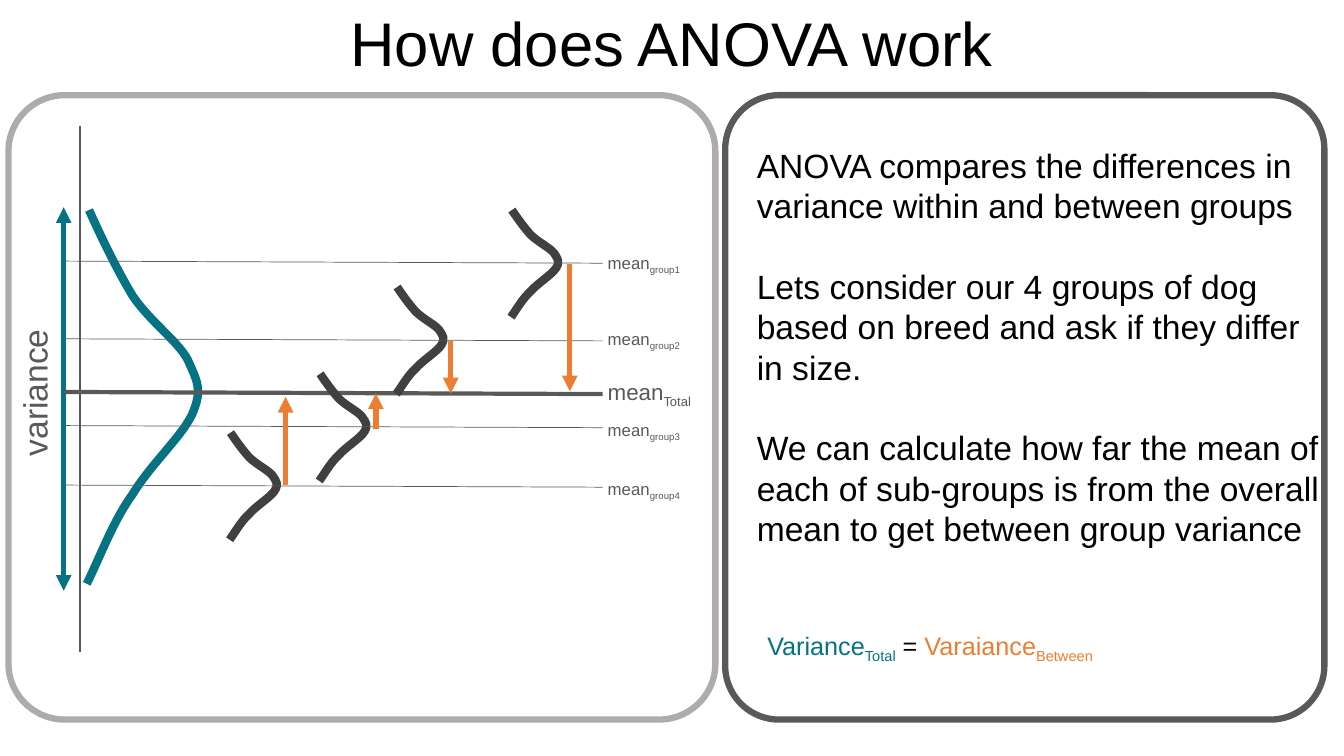
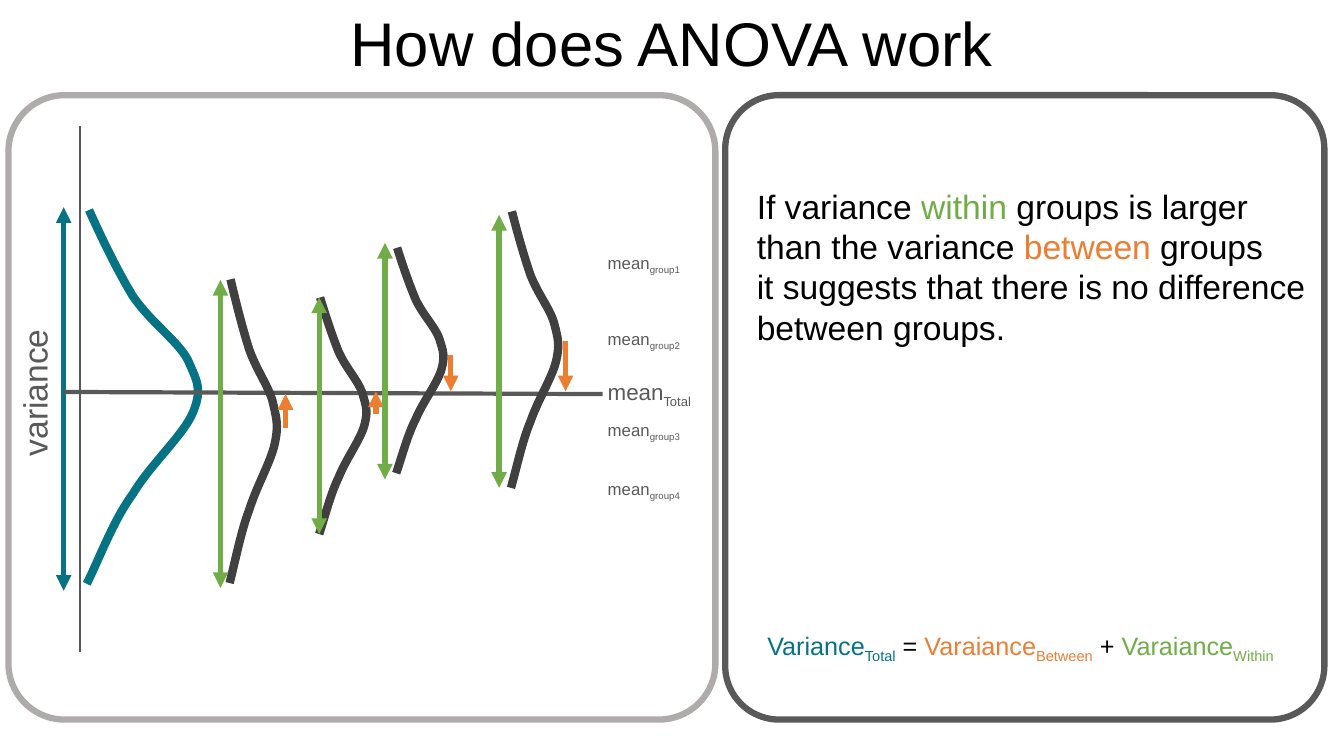
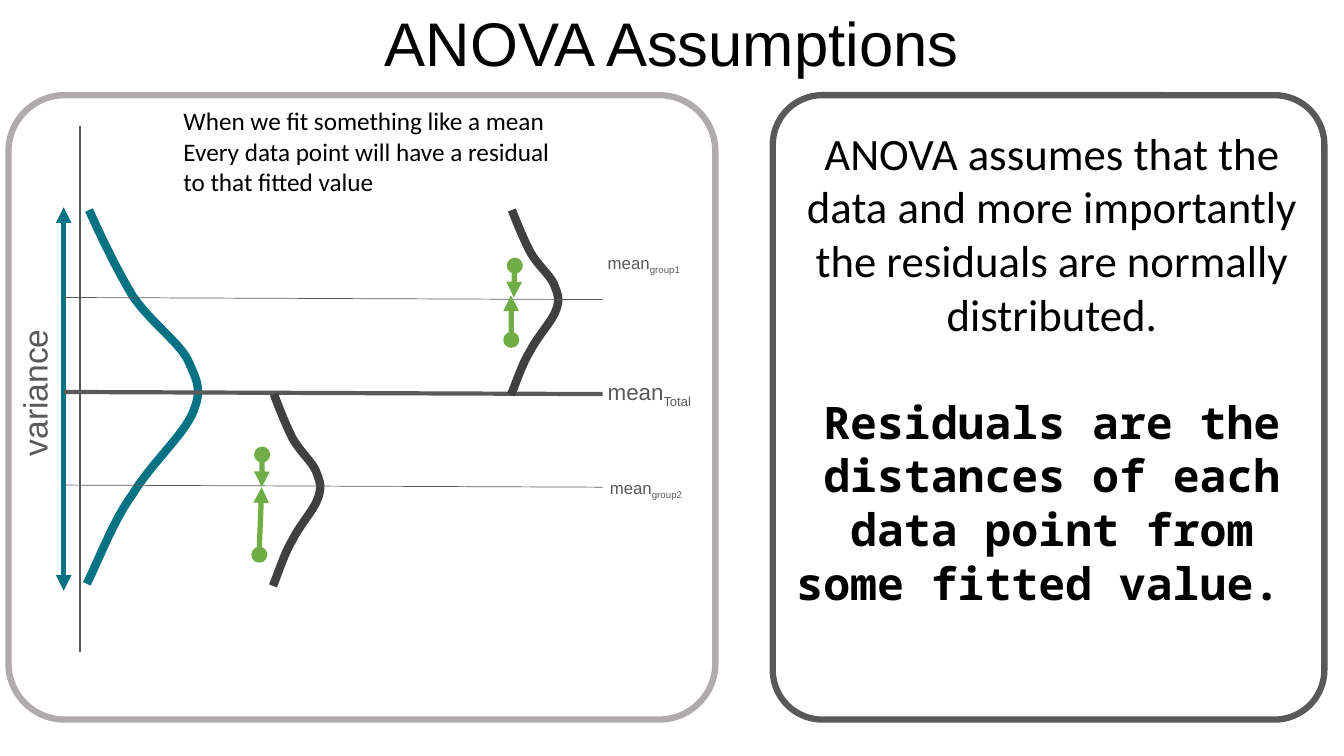
from lxml import etree
from pptx import Presentation
from pptx.dml.color import RGBColor
from pptx.enum.shapes import MSO_CONNECTOR, MSO_SHAPE
from pptx.enum.text import MSO_ANCHOR, MSO_AUTO_SIZE as AutoSize, PP_ALIGN as Align
from pptx.oxml.ns import qn
from pptx.util import Pt

COLOURS = {
    "text": "000000",
    "grey": "595959",
    "light": "AFABAB",
    "curve": "404040",
    "total": "067384",
    "between": "ED7D31",
    "within": "70AD47",
}
PANEL_RIGHT = 946
MEAN_LEFT, MEAN_RIGHT, MEAN_SLOPE = 45.5, 430.5, 1.5
LABEL_LEFT = 427
GROUP_WIDTH = 34
DOT = 10.5
LINE_PITCH = 1.2

# Bezier points of the bell curve, as shares of its width and height
BELL = [
    (0.02, 0),
    (0.14, 0.08), (0.27, 0.16), (0.41, 0.23),
    (0.57, 0.3), (0.81, 0.35), (0.9, 0.4),
    (0.99, 0.46), (1.03, 0.48), (0.95, 0.54),
    (0.87, 0.6), (0.57, 0.68), (0.41, 0.76),
    (0.24, 0.83), (0.13, 0.92), (0, 1),
]

TOTAL = [("Variance", "total", False), ("Total", "total", True)]
BETWEEN = [(" = ", "text", False), ("Varaiance", "between", False), ("Between", "between", True)]
WITHIN = [(" + ", "text", False), ("Varaiance", "within", False), ("Within", "within", True)]


def rgb(colour):
    return RGBColor.from_string(COLOURS[colour])


def style_line(line, colour, width):
    line.color.rgb = rgb(colour)
    line.width = Pt(width)


def style_font(font, size, colour="text", face="Arial", bold=False):
    font.size, font.name, font.bold = Pt(size), face, bold
    font.color.rgb = rgb(colour)


def add_title(slide, wording):
    title = slide.shapes.title
    title.left, title.top, title.width, title.height = Pt(0), Pt(0), Pt(960), Pt(60)
    title.text_frame.text = wording
    title.text_frame.vertical_anchor = MSO_ANCHOR.MIDDLE
    heading = title.text_frame.paragraphs[0]
    heading.alignment = Align.CENTER
    style_font(heading.runs[0].font, 44)


def add_panel(slide, left, right, colour):
    panel = slide.shapes.add_shape(
        MSO_SHAPE.ROUNDED_RECTANGLE, Pt(left), Pt(68), Pt(right - left), Pt(446))
    panel.adjustments[0] = 0.09
    panel.shadow.inherit = False
    panel.fill.background()
    style_line(panel.line, colour, 4.5)


def add_line(slide, start, end, colour, width, heads=()):
    """Draw a straight line; heads lists "headEnd" and/or "tailEnd"."""
    line = slide.shapes.add_connector(
        MSO_CONNECTOR.STRAIGHT, *[Pt(value) for value in (*start, *end)])
    style_line(line.line, colour, width)
    properties = line._element.spPr
    for head in heads:
        etree.SubElement(properties.find(qn("a:ln")), qn(f"a:{head}"), type="triangle")
    etree.SubElement(properties, qn("a:effectLst"))
    return line


def add_arrow(slide, start, end, colour):
    return add_line(slide, start, end, colour, 3.75, ["tailEnd"])


def add_span(slide, x, top, bottom, colour):
    """Draw a vertical arrow with a head at both ends."""
    add_line(slide, (x, top), (x, bottom), colour, 3.75, ["headEnd", "tailEnd"])


def add_mean_line(slide, y, width=0.5):
    add_line(slide, (MEAN_LEFT, y), (MEAN_RIGHT, y + MEAN_SLOPE), "grey", width)


def add_bell(slide, left, top, height, width=GROUP_WIDTH, colour="curve"):
    points = [(Pt(left + x * width), Pt(top + y * height)) for x, y in BELL]
    builder = slide.shapes.build_freeform(*points[0])
    builder.add_line_segments(points[1:], close=False)
    bell = builder.convert_to_shape()
    bell.shadow.inherit = False
    bell.fill.background()
    style_line(bell.line, colour, 6)
    # Turn every three straight segments into one Bezier segment
    outline = next(bell._element.iter(qn("a:path")))
    segments = outline.findall(qn("a:lnTo"))
    for first in range(0, len(segments), 3):
        curve = etree.SubElement(outline, qn("a:cubicBezTo"))
        for segment in segments[first:first + 3]:
            curve.append(segment[0])
            outline.remove(segment)


def add_box(slide, left, top, width, height):
    return slide.shapes.add_textbox(Pt(left), Pt(top), Pt(width), Pt(height))


def add_runs(paragraph, parts, size):
    """Add (text, colour, is_subscript) parts as runs."""
    for wording, colour, is_subscript in parts:
        run = paragraph.add_run()
        run.text = wording
        style_font(run.font, size, colour)
        if is_subscript:
            run.font._element.set("baseline", "-25000")


def add_label(slide, box, parts, size):
    label = add_box(slide, *box)
    label.text_frame.word_wrap = False
    label.text_frame.auto_size = AutoSize.SHAPE_TO_FIT_TEXT
    add_runs(label.text_frame.paragraphs[0], parts, size)
    return label


def add_mean_label(slide, top, subscript, size=12, width=70, height=21.5, left=LABEL_LEFT):
    parts = [("mean", "grey", False), (subscript, "grey", True)]
    add_label(slide, (left, top, width, height), parts, size)


def add_paragraphs(slide, box, paragraphs, size, gap=0, align=Align.LEFT, faces=("Arial",)):
    """Fill a wrapped box; a paragraph is a string or a list of run parts.

    The last of faces serves all remaining paragraphs and is bold if not the first.
    """
    frame = add_box(slide, *box).text_frame
    frame.word_wrap = True
    for index, content in enumerate(paragraphs):
        paragraph = frame.add_paragraph() if index else frame.paragraphs[0]
        paragraph.alignment = align
        paragraph.line_spacing = Pt(size * LINE_PITCH)
        paragraph.space_before = Pt(gap if index else 0)
        if isinstance(content, list):
            add_runs(paragraph, content, size)
        else:
            face = min(index, len(faces) - 1)
            paragraph.text = content
            style_font(paragraph.runs[0].font, size, face=faces[face], bold=face > 0)


def add_equation(slide, parts, width):
    add_label(slide, (541, 446.5, width, 29), parts, 18)


def add_group_labels(slide):
    for number, top in enumerate((177, 231, 296, 338.5), 1):
        add_mean_label(slide, top, f"group{number}")


def add_residual(slide, left, top, target):
    dot = slide.shapes.add_shape(MSO_SHAPE.OVAL, Pt(left), Pt(top), Pt(DOT), Pt(DOT))
    dot.shadow.inherit = False
    dot.fill.solid()
    dot.fill.fore_color.rgb = rgb("within")
    style_line(dot.line, "within", 1)
    arrow = add_arrow(slide, (left + DOT / 2, top), target, "within")
    arrow.begin_connect(dot, 0)


def start_slide(deck, title, right_panel=518):
    """Add a slide with the title, both panels and the total variance diagram."""
    slide = deck.slides.add_slide(deck.slide_layouts.get_by_name("Title Only"))
    add_title(slide, title)
    add_panel(slide, 6, 511, "light")
    add_panel(slide, right_panel, PANEL_RIGHT, "grey")
    add_line(slide, (57, 466), (57, 90), "grey", 1.5)
    add_span(slide, MEAN_LEFT, 148, 422, "total")
    add_bell(slide, 62, 150, 267, width=80, colour="total")
    add_mean_line(slide, 280, width=3)
    add_mean_label(slide, 266.5, "Total", size=16, width=78, height=26.5)
    axis_name = add_label(slide, (-29, 261.5, 107, 36), [("variance", "grey", False)], 24)
    axis_name.rotation = 270
    return slide


def build_between_slide(deck):
    slide = start_slide(deck, "How does ANOVA work")
    for left, top in ((365, 150), (283, 205), (228, 267), (164, 309)):
        add_bell(slide, left, top, 76.5)
    for y in (186.5, 242, 304, 346.5):
        add_mean_line(slide, y)
    for x, start, end in ((407, 188.5, 279.5), (322, 243.5, 281),
                          (268.5, 306.5, 281), (204, 346.5, 283.5)):
        add_arrow(slide, (x, start), (x, end), "between")
    add_group_labels(slide)
    add_paragraphs(slide, (533.5, 100, 421, 298), [
        "ANOVA compares the differences in variance within and between groups",
        "Lets consider our 4 groups of dog based on breed and ask if they differ in size.",
        "We can calculate how far the mean of each of sub-groups is from the overall "
        "mean to get between group variance",
    ], 24, gap=28.8)
    add_equation(slide, TOTAL + BETWEEN, 258.5)


def build_within_slide(deck):
    slide = start_slide(deck, "How does ANOVA work")
    for left, top, height in ((365, 151, 197.5), (283, 177, 161),
                              (228, 212.5, 169), (164, 199.5, 217)):
        add_bell(slide, left, top, height)
    for x, start, end in ((404, 243.5, 279.5), (322, 253.5, 279.5),
                          (268.5, 296, 279.5), (204, 306, 281.5)):
        add_arrow(slide, (x, start), (x, end), "between")
    for x, top, bottom in ((356.5, 153.5, 348.5), (275, 173.5, 342.5),
                           (228, 212.5, 381.5), (157.5, 200, 420)):
        add_span(slide, x, top, bottom, "within")
    add_group_labels(slide)
    add_paragraphs(slide, (533.5, 129, 421, 124), [
        [("If variance ", "text", False), ("within", "within", False),
         (" groups is larger", "text", False)],
        [("than the variance ", "text", False), ("between", "between", False),
         (" groups", "text", False)],
        "it suggests that there is no difference between groups.",
    ], 24)
    add_equation(slide, TOTAL + BETWEEN + WITHIN, 393)


def build_assumptions_slide(deck):
    slide = start_slide(deck, "ANOVA Assumptions", right_panel=552)
    add_bell(slide, 365, 150, 132)
    add_bell(slide, 195, 281.5, 137)
    for y in (212.5, 346.5):
        add_mean_line(slide, y)
    for left, top, target in ((362.5, 184.5, (367, 212.5)), (360, 237.5, (365, 211)),
                              (182, 319.5, (187, 348)), (180, 391, (187, 348))):
        add_residual(slide, left, top, target)
    add_mean_label(slide, 177, "group1")
    add_mean_label(slide, 337.5, "group2", left=428.5)
    add_paragraphs(slide, (124, 72, 293, 73), [
        "When we fit something like a mean",
        "Every data point will have a residual",
        "to that fitted value",
    ], 18, faces=("Calibri",))
    add_paragraphs(slide, (561.5, 86, 380, 395), [
        "ANOVA assumes that the data and more importantly the residuals are normally "
        "distributed.",
        "Residuals are the distances of each data point from some fitted value. ",
    ], 32, gap=38.4, align=Align.CENTER, faces=("Calibri", "Noto Sans Mono"))


def main():
    deck = Presentation()
    deck.slide_width, deck.slide_height = Pt(960), Pt(540)
    build_between_slide(deck)
    build_within_slide(deck)
    build_assumptions_slide(deck)
    deck.save("out.pptx")


if __name__ == "__main__":
    main()
